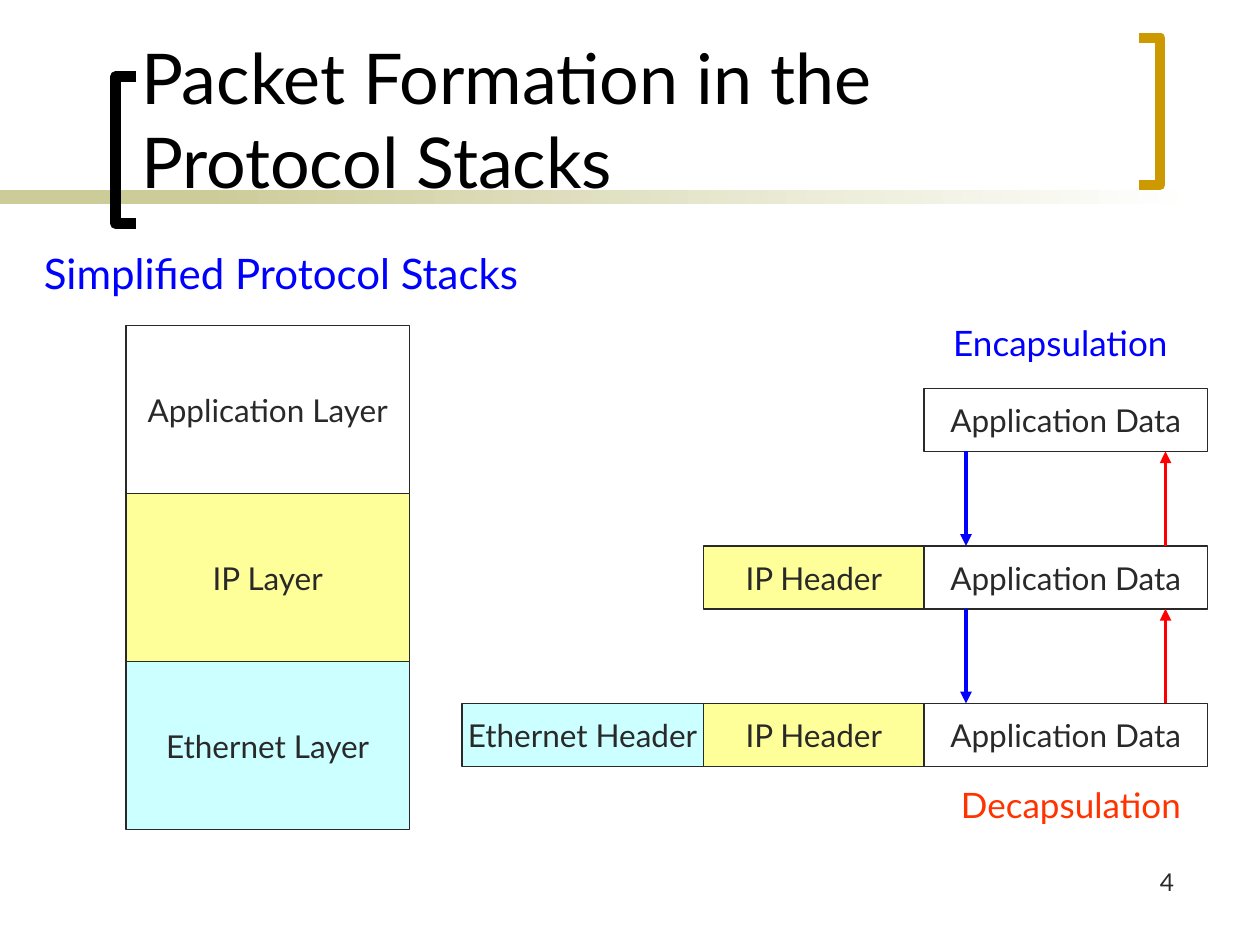
from lxml.etree import SubElement
from pptx import Presentation
from pptx.dml.color import RGBColor
from pptx.enum.shapes import MSO_CONNECTOR, MSO_SHAPE
from pptx.enum.text import MSO_ANCHOR, PP_ALIGN
from pptx.oxml.ns import qn
from pptx.util import Inches, Pt

INK, BLUE, RED, SAND = "292929", "0000FF", "FF0000", "CCCC99"
WHITE, YELLOW, CYAN = "FFFFFF", "FFFF99", "CCFFFF"
UNITS_PER_INCH = 12

LABELS = [
    ("4", (88, 82, 25, 6), dict(size=14, align=PP_ALIGN.RIGHT)),
    ("Packet Formation in the Protocol Stacks", (12.25, 1.3, 94, 18.6),
     dict(size=40, color="000000", anchor=MSO_ANCHOR.BOTTOM)),
    ("Simplified Protocol Stacks", (3, 23, 50, 6), dict(size=24, color=BLUE)),
    ("Encapsulation", (89, 30, 24, 5.2), dict(size=20, color=BLUE, align=PP_ALIGN.CENTER)),
    ("Decapsulation", (90, 74, 24, 5.2), dict(size=20, color="FF3300", align=PP_ALIGN.CENTER)),
]
LAYERS = [("Application Layer", None), ("IP Layer", YELLOW), ("Ethernet Layer", CYAN)]
FIELDS = [("Application Data", None, 27), ("IP Header", YELLOW, 21), ("Ethernet Header", CYAN, 23)]
BRACKETS = [((13, 11), (7.3, 21.3), "000000"), ((108.5, 110.5), (3.6, 17.6), "CC9900")]
BANDS = [(0, 28, SAND), (19, 95, WHITE)]
LAYER_LEFT, LAYER_TOP, LAYER_W, LAYER_H = 12, 31, 27, 16
PACKET_RIGHT, PACKET_TOP, PACKET_H, PACKET_STEP = 115, 37, 6, 15
DOWN_X, UP_X = 92, 111


def grid(*values):
    return [Inches(v / UNITS_PER_INCH) for v in values]


def rgb(value):
    return RGBColor.from_string(value)


def write(sp, text, size=18, color=INK, align=PP_ALIGN.LEFT, anchor=MSO_ANCHOR.TOP, wrap=True):
    tf = sp.text_frame
    tf.word_wrap, tf.vertical_anchor = wrap, anchor
    p = tf.paragraphs[0]
    p.alignment = align
    r = p.add_run()
    r.text = text
    for name, value in dict(name="Lato", size=Pt(size)).items():
        setattr(r.font, name, value)
    r.font.color.rgb = rgb(color)


def add_rect(s, box):
    sp = s.shapes.add_shape(MSO_SHAPE.RECTANGLE, *grid(*box))
    sp.shadow.inherit = False
    return sp


def add_box(s, text, fill, *box):
    sp = add_rect(s, box)
    if fill:
        sp.fill.solid()
        sp.fill.fore_color.rgb = rgb(fill)
    else:
        sp.fill.background()
    sp.line.color.rgb, sp.line.width = rgb(INK), Pt(0.75)
    write(sp, text, align=PP_ALIGN.CENTER, anchor=MSO_ANCHOR.MIDDLE, wrap=False)


def add_band(s, left, width, end):
    sp = add_rect(s, (left, 18.1, width, 1.35))
    sp.line.fill.background()
    sp.fill.gradient()
    sp.fill.gradient_angle = 0
    for stop, color in zip(sp.fill.gradient_stops, (SAND, end)):
        stop.color.rgb = rgb(color)


def add_bracket(s, xs, ys, color):
    (tip, spine), (top, bottom) = grid(*xs), grid(*ys)
    builder = s.shapes.build_freeform(tip, top)
    builder.add_line_segments([(spine, top), (spine, bottom), (tip, bottom)], close=False)
    sp = builder.convert_to_shape()
    sp.shadow.inherit = False
    sp.fill.background()
    sp.line.color.rgb, sp.line.width = rgb(color), Pt(6)


def add_arrow(s, x, start, end, color):
    cx = s.shapes.add_connector(MSO_CONNECTOR.STRAIGHT, *grid(x, start, x, end))
    cx.line.color.rgb, cx.line.width = rgb(color), Pt(2.25)
    SubElement(cx.line._get_or_add_ln(), qn("a:tailEnd"), type="triangle")
    SubElement(cx._element.spPr, qn("a:effectLst"))


def main():
    """Build the slide on packet encapsulation and decapsulation."""
    prs = Presentation()
    prs.slide_width, prs.slide_height = Inches(10), Inches(7.5)
    s = prs.slides.add_slide(prs.slide_layouts[6])
    for band in BANDS:
        add_band(s, *band)
    for bracket in BRACKETS:
        add_bracket(s, *bracket)
    for text, box, fmt in LABELS:
        write(s.shapes.add_textbox(*grid(*box)), text, **fmt)
    for i, (text, fill) in enumerate(LAYERS):
        add_box(s, text, fill, LAYER_LEFT, LAYER_TOP + i * LAYER_H, LAYER_W, LAYER_H)
    for row in range(len(FIELDS)):
        top, left = PACKET_TOP + row * PACKET_STEP, PACKET_RIGHT
        for text, fill, width in FIELDS[:row + 1]:
            left -= width
            add_box(s, text, fill, left, top, width, PACKET_H)
        if row:
            above = top - PACKET_STEP + PACKET_H
            add_arrow(s, DOWN_X, above, top, BLUE)
            add_arrow(s, UP_X, top, above, RED)
    prs.save("out.pptx")


if __name__ == "__main__":
    main()
